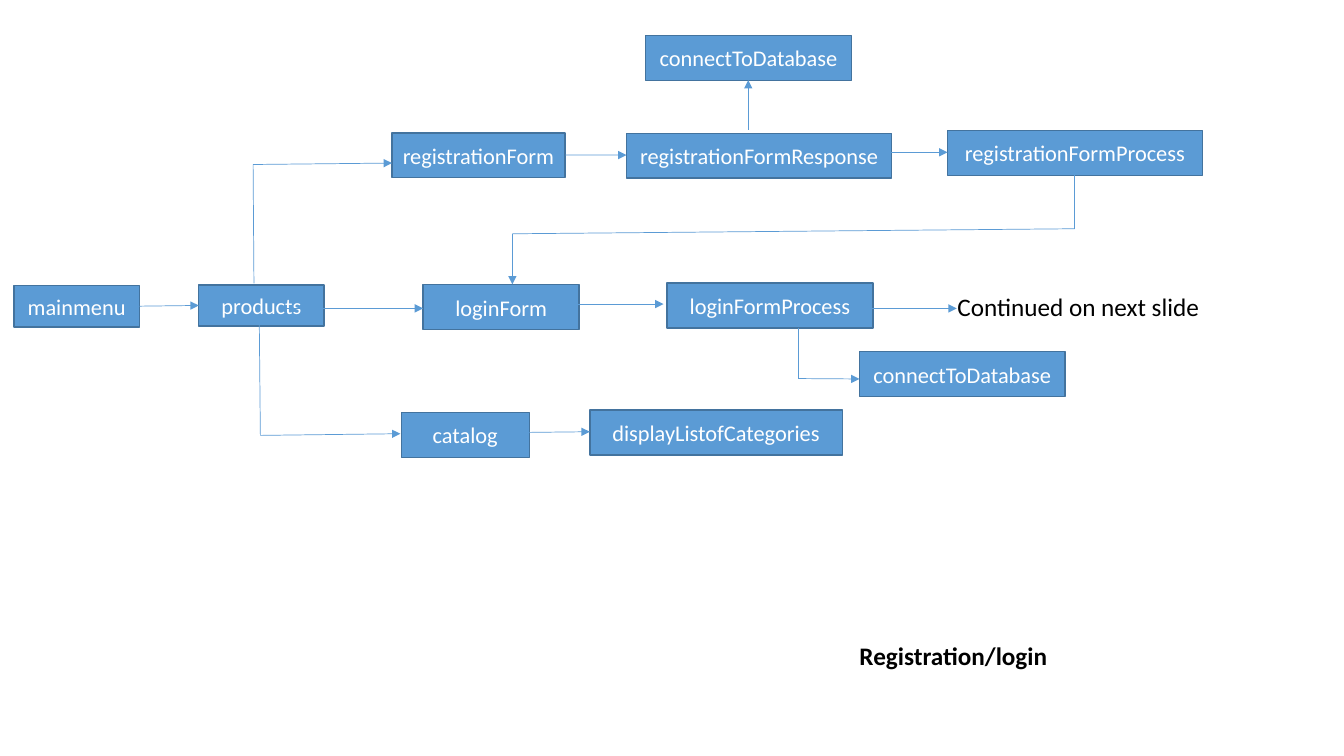
from dataclasses import dataclass
from itertools import pairwise

from lxml import etree
from pptx import Presentation
from pptx.dml.color import RGBColor
from pptx.enum.shapes import MSO_CONNECTOR, MSO_SHAPE
from pptx.enum.text import MSO_ANCHOR, MSO_AUTO_SIZE, PP_ALIGN
from pptx.oxml.ns import qn
from pptx.util import Pt

STRAIGHT = MSO_CONNECTOR.STRAIGHT
RECTANGLE = MSO_SHAPE.RECTANGLE
TOP, MIDDLE = MSO_ANCHOR.TOP, MSO_ANCHOR.MIDDLE
LEFT, CENTER = PP_ALIGN.LEFT, PP_ALIGN.CENTER
FIXED_SIZE = MSO_AUTO_SIZE.NONE
TITLE_ONLY = 5


@dataclass(frozen=True)
class Theme:
    """Colours, font and sizes of the slide."""
    font: str = "Calibri"
    step_fill: RGBColor = RGBColor(0x5B, 0x9B, 0xD5)
    step_edge: RGBColor = RGBColor(0x43, 0x73, 0x9E)
    step_text: RGBColor = RGBColor(0xFF, 0xFF, 0xFF)
    plain_text: RGBColor = RGBColor(0, 0, 0)
    step_size: int = 16
    plain_size: int = 18
    edge_width: float = 1
    route_width: float = 0.5


class FlowSlide:
    """Draws the parts of a flow chart on one slide, in points."""

    def __init__(self, slide, theme):
        """Keep the slide and its style."""
        self.slide = slide
        self.theme = theme

    def label(self, shape, text, size, color, align, anchor, bold=False):
        """Set and format the single line of text in a shape."""
        frame = shape.text_frame
        frame.text = text
        frame.word_wrap = False
        frame.auto_size = FIXED_SIZE
        frame.vertical_anchor = anchor
        line = frame.paragraphs[0]
        line.alignment = align
        font = line.runs[0].font
        font.name, font.size, font.bold = self.theme.font, Pt(size), bold
        font.color.rgb = color

    def title(self, text, left, top, width, height):
        """Move and format the title."""
        title = self.slide.shapes.title
        title.left, title.top = Pt(left), Pt(top)
        title.width, title.height = Pt(width), Pt(height)
        self.label(title, text, self.theme.plain_size, self.theme.plain_text,
                   CENTER, TOP, bold=True)

    def note(self, text, left, top, width, height):
        """Add plain text."""
        note = self.slide.shapes.add_textbox(
            Pt(left), Pt(top), Pt(width), Pt(height))
        self.label(note, text, self.theme.plain_size, self.theme.plain_text,
                   LEFT, TOP)

    def step(self, text, left, top, width, height=32):
        """Add a labelled box."""
        step = self.slide.shapes.add_shape(
            RECTANGLE, Pt(left), Pt(top), Pt(width), Pt(height))
        step.shadow.inherit = False
        step.fill.solid()
        step.fill.fore_color.rgb = self.theme.step_fill
        step.line.color.rgb = self.theme.step_edge
        step.line.width = Pt(self.theme.edge_width)
        self.label(step, text, self.theme.step_size, self.theme.step_text,
                   CENTER, MIDDLE)

    def route(self, *stops):
        """Join the stops with lines and put an arrowhead on the last one."""
        for start, end in pairwise(stops):
            leg = self.slide.shapes.add_connector(
                STRAIGHT, *(Pt(value) for value in start + end))
            leg.line.color.rgb = self.theme.step_fill
            leg.line.width = Pt(self.theme.route_width)
            etree.SubElement(leg._element.spPr, qn("a:effectLst"))
        outline = leg._element.spPr.find(qn("a:ln"))
        etree.SubElement(outline, qn("a:tailEnd"), type="triangle")


STEPS = [
    ("mainmenu", 10, 204, 89.5, 29.5),
    ("products", 142, 203.5, 89.5, 29.5),
    ("registrationForm", 280, 95, 123.5),
    ("registrationFormResponse", 447.5, 95.3, 189.5),
    ("registrationFormProcess", 676.8, 93.2, 182),
    ("connectToDatabase", 461.2, 25.3, 147),
    ("loginForm", 302.2, 203.4, 111.5),
    ("loginFormProcess", 476.5, 202.2, 147),
    ("connectToDatabase", 613.9, 251.2, 147),
    ("catalog", 286.6, 294.7, 91.5),
    ("displayListofCategories", 421.3, 293, 180.3),
]

ROUTES = [
    [(99.5, 218.7), (142, 218.2)],
    [(181.4, 202.5), (180.8, 117.5), (280, 116.5)],
    [(203.5, 220.3), (302.2, 220.3)],
    [(185.2, 228.5), (186, 311), (286, 309.8)],
    [(403.8, 110.7), (447.5, 110.8)],
    [(614.2, 108.8), (676.8, 108.8)],
    [(534.5, 92.7), (534.5, 57.2)],
    [(767.6, 124.8), (767.6, 163.4), (366, 167), (366, 203.2)],
    [(375.2, 217.2), (474, 217.2)],
    [(620.6, 220.3), (683.4, 220.3)],
    [(570.3, 234), (570.3, 270.4), (613.9, 270.7)],
    [(365.8, 309), (421.3, 308.4)],
]


def build():
    """Build and save the slide."""
    deck = Presentation()
    deck.slide_width, deck.slide_height = Pt(960), Pt(540)
    flow = FlowSlide(deck.slides.add_slide(deck.slide_layouts[TITLE_ONLY]),
                     Theme())
    flow.title("Registration/login", 606, 453.6, 150, 29)
    for step in STEPS:
        flow.step(*step)
    for stops in ROUTES:
        flow.route(*stops)
    flow.note("Continued on next slide", 676.8, 204.5, 189.5, 29)
    deck.save("out.pptx")


build()
